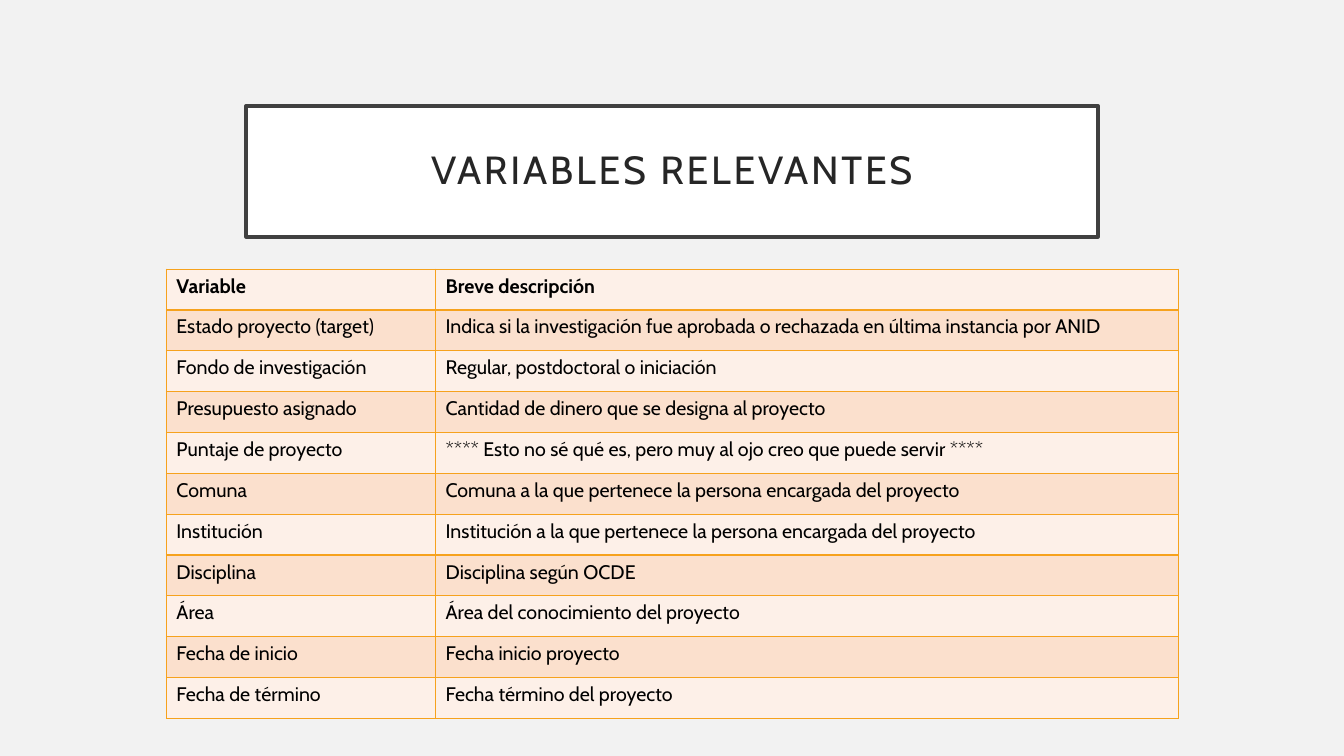
from dataclasses import dataclass

from lxml import etree
from pptx import Presentation
from pptx.dml.color import RGBColor as Rgb
from pptx.enum import shapes, text
from pptx.oxml import ns
from pptx.util import Inches, Pt


@dataclass(frozen=True)
class Theme:
    font: str = "Cabin"
    back: str = "F2F2F2"
    panel: str = "FFFFFF"
    frame: str = "404040"
    title: str = "262626"
    ink: str = "000000"
    rule: str = "F6A21D"
    bands: tuple[str, str] = ("FDF0E8", "FBE0CD")
    head: int = 28
    body: int = 14


@dataclass(frozen=True)
class Box:
    left: float
    top: float
    width: float
    height: float

    def place(self) -> tuple:
        return tuple(map(Inches, (self.left, self.top, self.width, self.height)))


@dataclass(frozen=True)
class Entry:
    name: str
    about: str


LOOK = Theme()
TITLE = Box(2.44, 1.05, 8.45, 1.3)
GRID = Box(1.65, 2.67, 10.04, 4.46)
COLS = (2.67, 7.37)
ROWS = (
    Entry("Variable", "Breve descripción"),
    Entry("Estado proyecto (target)",
          "Indica si la investigación fue aprobada o rechazada en última instancia por ANID"),
    Entry("Fondo de investigación", "Regular, postdoctoral o iniciación"),
    Entry("Presupuesto asignado", "Cantidad de dinero que se designa al proyecto"),
    Entry("Puntaje de proyecto",
          "**** Esto no sé qué es, pero muy al ojo creo que puede servir ****"),
    Entry("Comuna", "Comuna a la que pertenece la persona encargada del proyecto"),
    Entry("Institución", "Institución a la que pertenece la persona encargada del proyecto"),
    Entry("Disciplina", "Disciplina según OCDE"),
    Entry("Área", "Área del conocimiento del proyecto"),
    Entry("Fecha de inicio", "Fecha inicio proyecto"),
    Entry("Fecha de término", "Fecha término del proyecto"),
)


def apply(target, values: dict) -> None:
    for key, value in values.items():
        setattr(target, key, value)


def paint(fill, color: str) -> None:
    fill.solid()
    fill.fore_color.rgb = Rgb.from_string(color)


def write(para, words: str, size: int, color: str, bold: bool = False):
    run = para.add_run()
    run.text = words
    apply(run.font, {"name": LOOK.font, "size": Pt(size), "bold": bold})
    run.font.color.rgb = Rgb.from_string(color)
    return run


def border(cell, color: str, width: float) -> None:
    props = cell._tc.get_or_add_tcPr()
    for spot, side in enumerate(("lnL", "lnR", "lnT", "lnB")):
        line = etree.Element(ns.qn(f"a:{side}"), w=str(Pt(width)))
        fill = etree.SubElement(line, ns.qn("a:solidFill"))
        etree.SubElement(fill, ns.qn("a:srgbClr"), val=color)
        props.insert(spot, line)


def banner(slide, box: Box, words: str) -> None:
    shape = slide.shapes.add_shape(shapes.MSO_SHAPE.RECTANGLE, *box.place())
    shape.shadow.inherit = False
    paint(shape.fill, LOOK.panel)
    paint(shape.line.fill, LOOK.frame)
    shape.line.width = Pt(2.5)
    frame = shape.text_frame
    sides = ("left", "right", "top", "bottom")
    apply(frame, {f"margin_{side}": Inches(0.2) for side in sides})
    apply(frame, {"word_wrap": True, "vertical_anchor": text.MSO_ANCHOR.MIDDLE})
    para = frame.paragraphs[0]
    apply(para, {"alignment": text.PP_ALIGN.CENTER, "line_spacing": 0.9})
    run = write(para, words, LOOK.head, LOOK.title)
    run._r.get_or_add_rPr().set("spc", "200")


def listing(slide, box: Box, rows: tuple[Entry, ...]) -> None:
    table = slide.shapes.add_table(len(rows), len(COLS), *box.place()).table
    for col, width in zip(table.columns, COLS):
        col.width = Inches(width)
    for i, entry in enumerate(rows):
        table.rows[i].height = Inches(box.height / len(rows))
        for j, words in enumerate((entry.name, entry.about)):
            cell = table.cell(i, j)
            paint(cell.fill, LOOK.bands[i % 2])
            border(cell, LOOK.rule, 1)
            write(cell.text_frame.paragraphs[0], words, LOOK.body, LOOK.ink, i == 0)


# Slide and background
deck = Presentation()
apply(deck, {"slide_width": Inches(13.33), "slide_height": Inches(7.5)})
slide = deck.slides.add_slide(deck.slide_layouts[6])
paint(slide.background.fill, LOOK.back)

# Title banner and table of variables
banner(slide, TITLE, "VARIABLES RELEVANTES")
listing(slide, GRID, ROWS)

deck.save("out.pptx")
